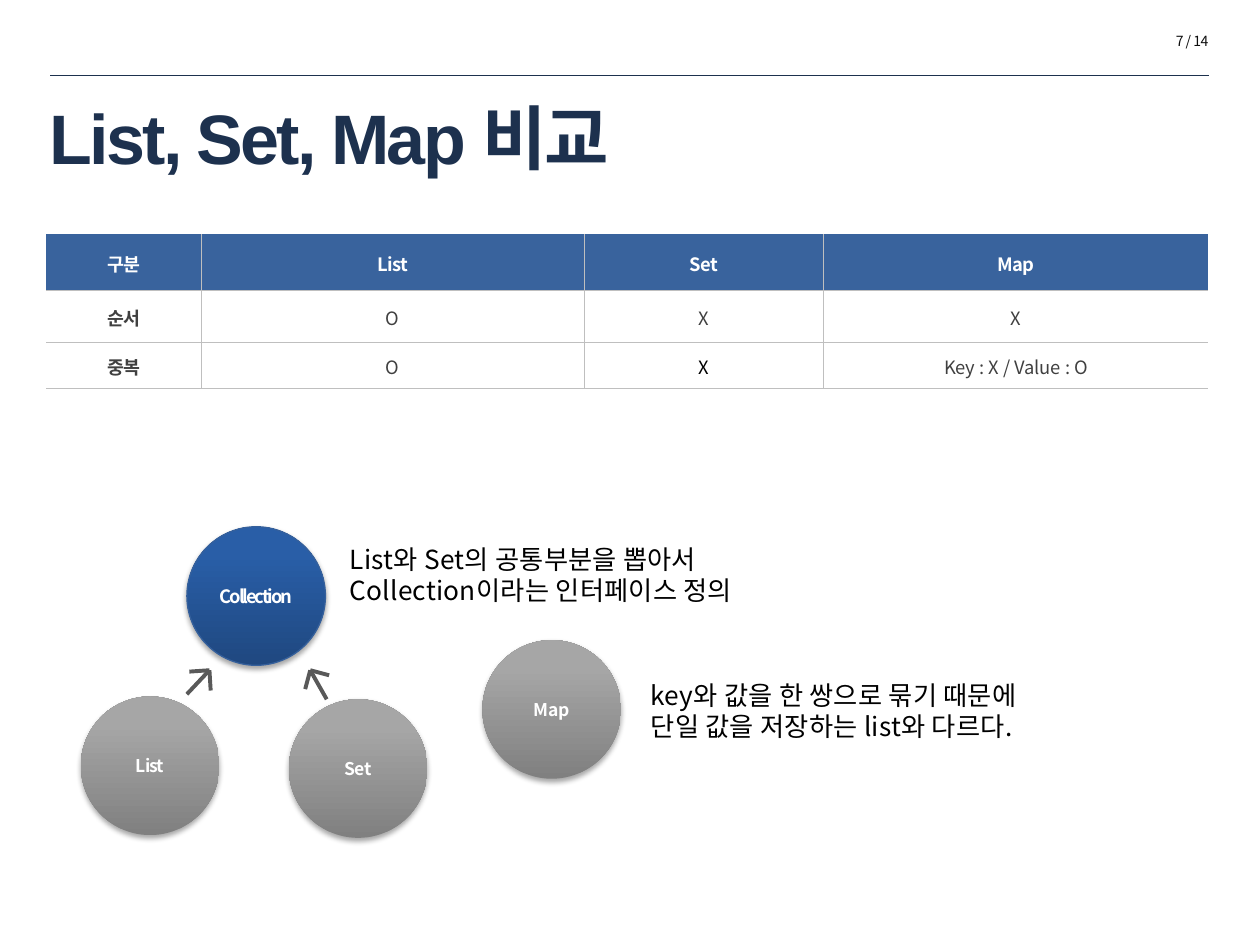
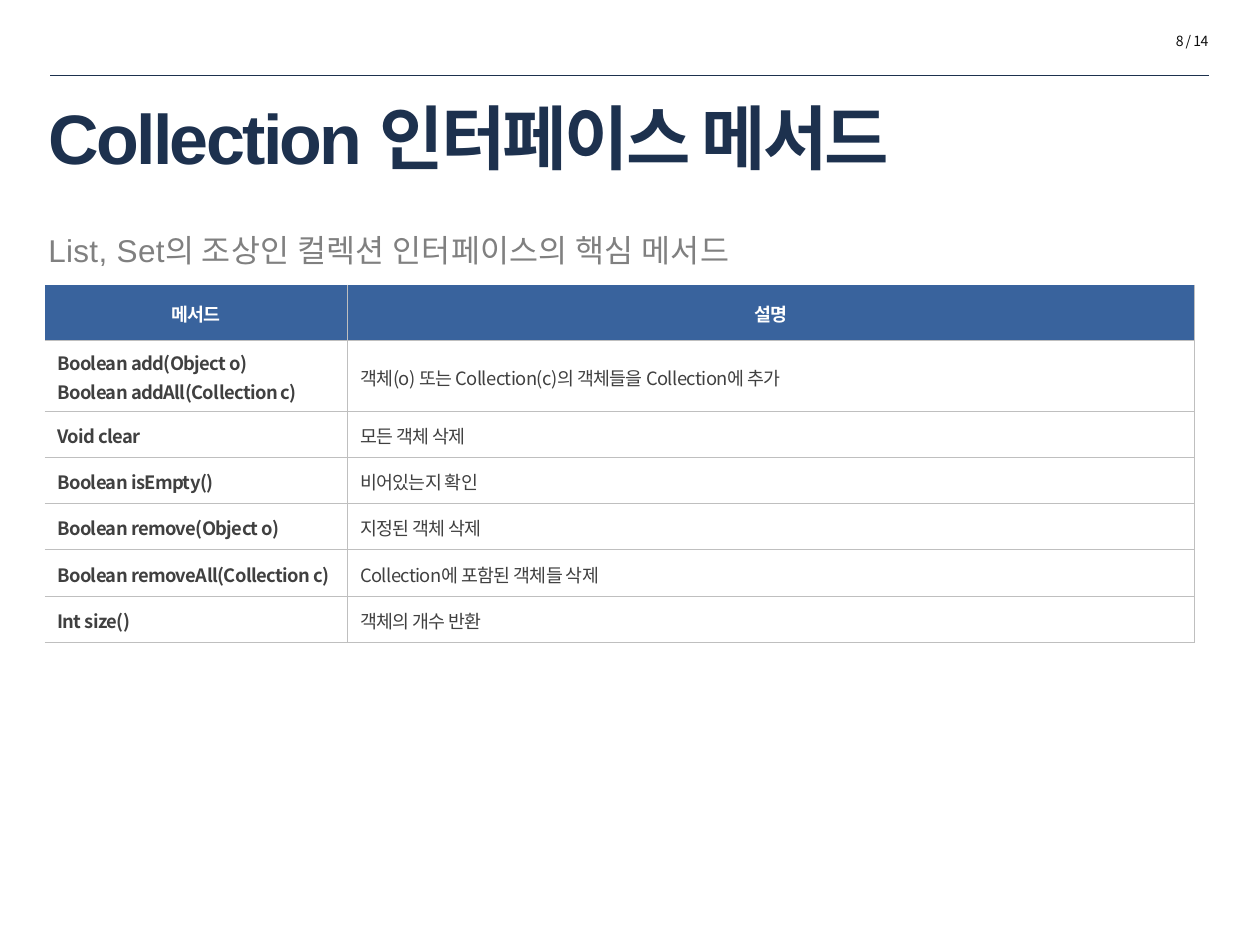
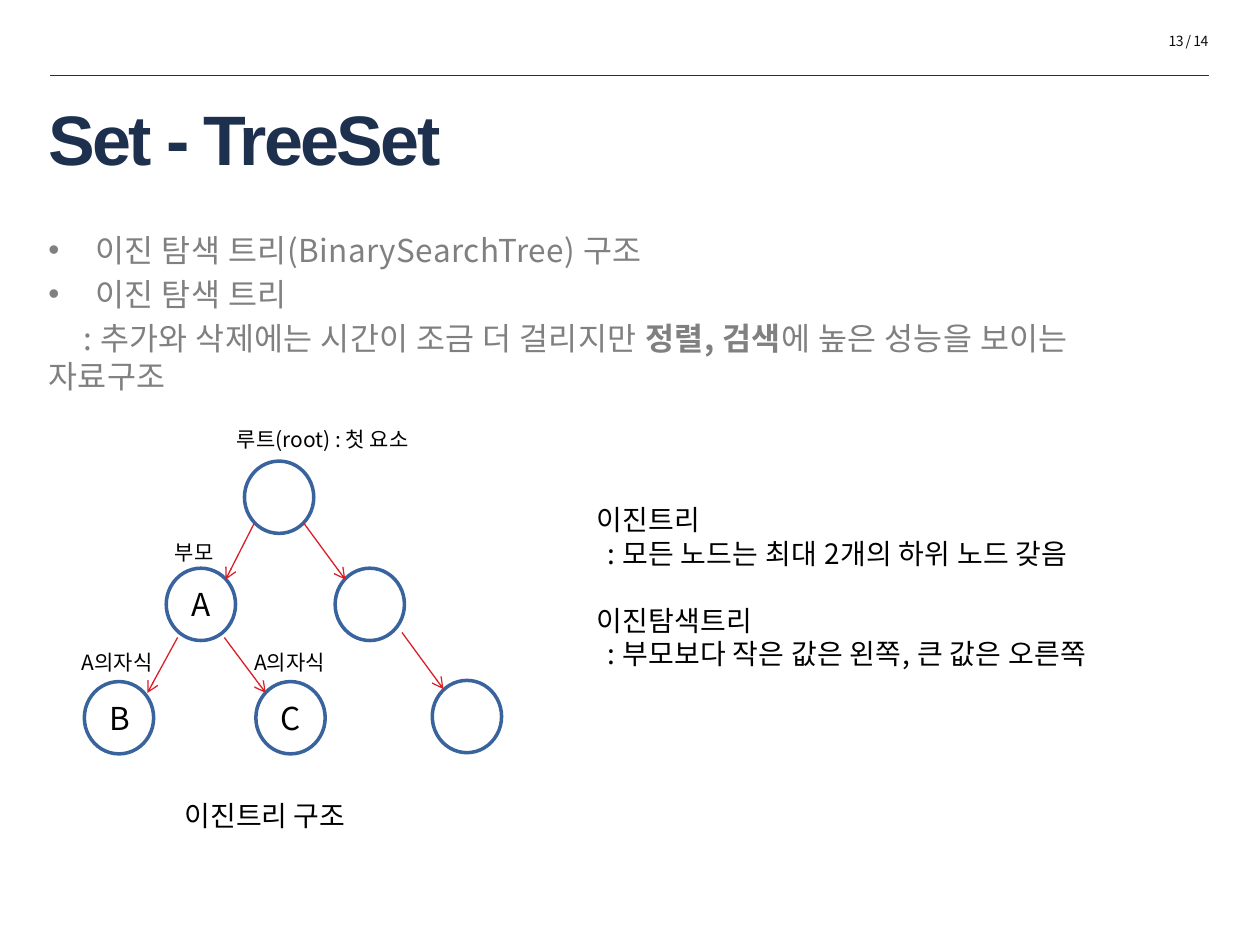
from pptx import Presentation
from pptx.dml.color import RGBColor
from pptx.enum.shapes import MSO_CONNECTOR as CONN, MSO_SHAPE as SHAPE
from pptx.enum.text import MSO_ANCHOR as ANCHOR, MSO_AUTO_SIZE as FIT, PP_ALIGN as ALIGN
from pptx.oxml.ns import qn
from pptx.util import Pt
from lxml.etree import SubElement

KR = "Noto Sans CJK KR"
NAVY, BLUE, GRID, RED = "1D314E", "39639D", "BFBFBF", "DA1F28"
BLACK, WHITE, DARK, GREY, ARROW = "000000", "FFFFFF", "404040", "808080", "595959"
TITLE = dict(size=40, name="Arial", color=NAVY, bold=True, spc=-1.5)
CELL = dict(size=10.5, color=DARK, spc=-0.3)
BODY = dict(size=18, color=GREY, spc=0.25)


def rgb(value):
    return RGBColor.from_string(value)


def pts(*values):
    return [Pt(v) for v in values]


def style_run(r, size=12, name=KR, color=BLACK, bold=False, spc=0):
    for key, value in dict(size=Pt(size), name=name, bold=bold).items():
        setattr(r.font, key, value)
    r.font.color.rgb = rgb(color)
    rPr = r._r.get_or_add_rPr()
    SubElement(rPr, qn("a:ea")).set("typeface", KR)
    if spc:
        rPr.set("spc", str(round(spc * 100)))


def write(tf, paras, fmt, **layout):
    for i, para in enumerate(paras):
        p = tf.paragraphs[0] if i == 0 else tf.add_paragraph()
        for key, value in layout.items():
            setattr(p, key, value)
        for run in [(para, {})] if isinstance(para, str) else para:
            text, extra = run
            r = p.add_run()
            r.text = text
            style_run(r, **{**fmt, **extra})
    return tf.paragraphs


def indent(p, first=0):
    pPr = p._p.get_or_add_pPr()
    for key, value in dict(marL=0, indent=Pt(first)).items():
        pPr.set(key, str(int(value)))
    SubElement(pPr, qn("a:buNone"))


def add_text(s, box, paras, fmt, wrap=False, **layout):
    tf = s.shapes.add_textbox(*pts(*box)).text_frame
    tf.word_wrap = wrap
    tf.auto_size = FIT.SHAPE_TO_FIT_TEXT
    return write(tf, paras, fmt, **layout)


def add_line(s, ends, color, width, arrow=False):
    sp = s.shapes.add_connector(CONN.STRAIGHT, *pts(*ends))
    sp.line.color.rgb = rgb(color)
    sp.line.width = Pt(width)
    spPr = sp._element.spPr
    SubElement(spPr, qn("a:effectLst"))
    if arrow:
        SubElement(spPr.find(qn("a:ln")), qn("a:tailEnd")).set("type", "arrow")


def place(sp, box):
    for key, value in zip(("left", "top", "width", "height"), pts(*box)):
        setattr(sp, key, value)
    sp.text_frame.auto_size = FIT.NONE
    sp.text_frame.word_wrap = True
    return sp.text_frame


def add_frame(prs, layout, title, box, page):
    s = prs.slides.add_slide(prs.slide_layouts[layout])
    tf = place(s.shapes.title, box)
    tf.vertical_anchor = ANCHOR.MIDDLE
    write(tf, [title], TITLE, alignment=ALIGN.LEFT)
    add_line(s, (28.8, 43.2, 690.7, 43.2), NAVY, 0.25)
    add_text(s, (573, 15, 124.6, 17.3), [f"{page} / 14"],
             dict(size=8, color="0D0D0D", spc=-0.3), wrap=True, alignment=ALIGN.RIGHT)
    return s


def add_body(s, box, paras, fmt):
    return write(place(s.placeholders[1], box), paras, fmt, space_before=Pt(3.6))


def set_border(cell, side, visible):
    ln = SubElement(cell._tc.get_or_add_tcPr(), qn(f"a:ln{side}"))
    ln.set("w", str(int(Pt(0.5))))
    if visible:
        fill = SubElement(ln, qn("a:solidFill"))
        SubElement(fill, qn("a:srgbClr")).set("val", GRID)
    else:
        SubElement(ln, qn("a:noFill"))


def add_grid(s, x, y, widths, heights, rows, align, right_edge=False, special=None):
    table = s.shapes.add_table(len(rows), len(widths),
                               *pts(x, y, sum(widths), sum(heights))).table
    table.first_row = table.horz_banding = False
    for col, w in zip(table.columns, widths):
        col.width = Pt(w)
    for i, (row, h) in enumerate(zip(rows, heights)):
        table.rows[i].height = Pt(h)
        for j, text in enumerate(row):
            cell = table.cell(i, j)
            visible = dict(L=j > 0, R=j < len(row) - 1 or right_edge, T=i > 0, B=True)
            for side, shown in visible.items():
                set_border(cell, side, shown)
            if i == 0:
                cell.fill.solid()
                cell.fill.fore_color.rgb = rgb(BLUE)
            else:
                cell.fill.background()
            cell.vertical_anchor = ANCHOR.MIDDLE
            fmt = {**CELL, "bold": i == 0 or j == 0, **(special or {}).get((i, j), {})}
            if i == 0:
                fmt["color"] = WHITE
            write(cell.text_frame, text.split("\n"), fmt, line_spacing=1.1,
                  alignment=ALIGN.CENTER if i == 0 else align)


def add_ball(s, x, y, text, stops, fmt, outline=None):
    sp = s.shapes.add_shape(SHAPE.OVAL, *pts(x, y, 79.2, 79.2))
    sp.fill.gradient()
    sp.fill.gradient_angle = 90
    for stop, color, position in zip(sp.fill.gradient_stops, stops, (0, 0.8)):
        stop.color.rgb = rgb(color)
        stop.position = position
    if outline:
        sp.line.color.rgb = rgb(outline)
        sp.line.width = Pt(0.75)
    else:
        sp.line.fill.background()
    sp.shadow.inherit = False
    effects = sp._element.spPr.find(qn("a:effectLst"))
    shadow = SubElement(effects, qn("a:outerShdw"))
    for key, value in dict(blurRad=Pt(3.1), dist=Pt(1.8), dir=90 * 60000, rotWithShape=0).items():
        shadow.set(key, str(int(value)))
    color = SubElement(shadow, qn("a:srgbClr"))
    color.set("val", BLACK)
    SubElement(color, qn("a:alpha")).set("val", "35000")
    tf = sp.text_frame
    tf.margin_left = tf.margin_right = 0
    tf.vertical_anchor = ANCHOR.MIDDLE
    write(tf, [text], dict(color=WHITE, bold=True, **fmt), alignment=ALIGN.CENTER)


def add_hierarchy(s, x, y):
    arrows = [((73.5, 82), [(62, 82.8), (74.2, 93.6), (60.6, 95.7)]),
              ((131.1, 82), [(128.2, 92.8), (141.9, 84.9), (140.5, 98.6)])]
    for (tx, ty), ends in arrows:
        for ex, ey in ends:
            add_line(s, (x + tx, y + ty, x + ex, y + ey), ARROW, 2.25)
    for dx, dy, text, spc in [(118.9, 98.6, "Set", 0), (0, 97, "List", -0.5),
                              (229.5, 64.8, "Map", 0)]:
        add_ball(s, x + dx, y + dy, text, (GREY, "A6A6A6"), dict(size=10, spc=spc))
    add_ball(s, x + 60.6, y, "Collection", ("1F4880", "295EA7"),
             dict(size=10.5, spc=-1.2), "35609C")
    notes = [(146.6, 5.7, ["List와 Set의 공통부분을 뽑아서", "Collection이라는 인터페이스 정의"]),
             (318.6, 83.5, ["key와 값을 한 쌍으로 묶기 때문에", "단일 값을 저장하는 list와 다르다."])]
    for dx, dy, lines in notes:
        add_text(s, (x + dx, y + dy, 246, 43.9), lines, dict(size=15, spc=0.15))


def add_tree(s, x, y):
    nodes = [(99.7, 23.5, ""), (55, 84.7, "A"), (151.5, 84.7, ""),
             (8.2, 149.5, "B"), (106.2, 149.5, "C"), (207, 148.8, "")]
    edges = [(105.4, 58.8, 88.9, 91.2), (61.5, 124.3, 44.2, 156),
             (133.5, 58.8, 157.3, 91.2), (189.7, 121.4, 213.4, 153.8),
             (88.2, 124.3, 111.9, 156)]
    labels = [(88.2, 0.5, 121, "루트(root) : 첫 요소", 12), (52.9, 64.6, 38.9, "부모", 12),
              (-0.4, 127.9, 59, "A의자식", 12), (98.2, 127.9, 59, "A의자식", 12),
              (58.6, 212.9, 117.4, "이진트리 구조", 16)]
    for dx, dy, letter in nodes:
        sp = s.shapes.add_shape(SHAPE.OVAL, *pts(x + dx, y + dy, 39.6, 41.3))
        sp.shadow.inherit = False
        sp.fill.background()
        sp.line.color.rgb = rgb(BLUE)
        sp.line.width = Pt(2)
        if letter:
            add_text(s, (x + dx + 7.2, y + dy + 6.3, 44.6, 28.8), [letter],
                     dict(size=18), wrap=True)
    for x1, y1, x2, y2 in edges:
        add_line(s, (x + x1, y + y1, x + x2, y + y2), RED, 0.75, arrow=True)
    for dx, dy, w, text, size in labels:
        add_text(s, (x + dx, y + dy, w, size * 1.2 + 7.2), [text], dict(size=size))


def add_definitions(s, box):
    lines = ["이진트리", ": 모든 노드는 최대 2개의 하위 노드 갖음",
             "이진탐색트리", ": 부모보다 작은 값은 왼쪽, 큰 값은 오른쪽"]
    paras = add_text(s, box, lines, dict(size=16, spc=0.2))
    paras[2].space_before = Pt(19)
    for p in paras[1::2]:
        indent(p, 6.5)


def comparison_slide(prs):
    s = add_frame(prs, 5, "List, Set, Map 비교", (20.9, 51.8, 667.4, 52.6), 7)
    rows = [["구분", "List", "Set", "Map"], ["순서", "O", "X", "X"],
            ["중복", "O", "X", "Key : X / Value : O"]]
    add_grid(s, 26.3, 133.9, [88.7, 218.8, 136.9, 219.9], [31.9, 29.6, 26.4], rows,
             ALIGN.CENTER, special={(2, 2): dict(color=BLACK), (2, 3): dict(spc=0)})
    add_hierarchy(s, 46.2, 301)


def methods_slide(prs):
    s = add_frame(prs, 1, "Collection 인터페이스 메서드", (20.4, 48.2, 668.2, 59.8), 8)
    rows = [["메서드", "설명"],
            ["Boolean add(Object o)\nBoolean addAll(Collection c)",
             "객체(o) 또는 Collection(c)의 객체들을 Collection에 추가"],
            ["Void clear", "모든 객체 삭제"],
            ["Boolean isEmpty()", "비어있는지 확인"],
            ["Boolean remove(Object o)", "지정된 객체 삭제"],
            ["Boolean removeAll(Collection c)", "Collection에 포함된 객체들 삭제"],
            ["Int size()", "객체의 개수 반환"]]
    add_grid(s, 25.6, 162.7, [173, 483.8], [31.7, 40.6] + [26.4] * 5, rows,
             ALIGN.LEFT, right_edge=True)
    paras = add_body(s, (20.4, 128.2, 666.7, 100),
                     ["List, Set의 조상인 컬렉션 인터페이스의 핵심 메서드"],
                     {**BODY, "name": "Arial", "spc": 0.2})
    indent(paras[0])


def treeset_slide(prs):
    s = add_frame(prs, 1, "Set - TreeSet", (20.4, 55.4, 550.8, 46), 13)
    paras = add_body(s, (20.4, 128.2, 666.7, 127.4), [
        "이진 탐색 트리(BinarySearchTree) 구조",
        "이진 탐색 트리",
        [(": 추가와 삭제에는 시간이 조금 더 걸리지만 ", {}), ("정렬, 검색", dict(bold=True)),
         ("에 높은 성능을 보이는 자료구조", {})]], BODY)
    indent(paras[2], 20)
    add_tree(s, 40, 240)
    add_definitions(s, (333.6, 283.7, 328.3, 123.8))


def main():
    prs = Presentation()
    prs.slide_width, prs.slide_height = pts(720, 540)
    for build in (comparison_slide, methods_slide, treeset_slide):
        build(prs)
    prs.save("out.pptx")


if __name__ == "__main__":
    main()
